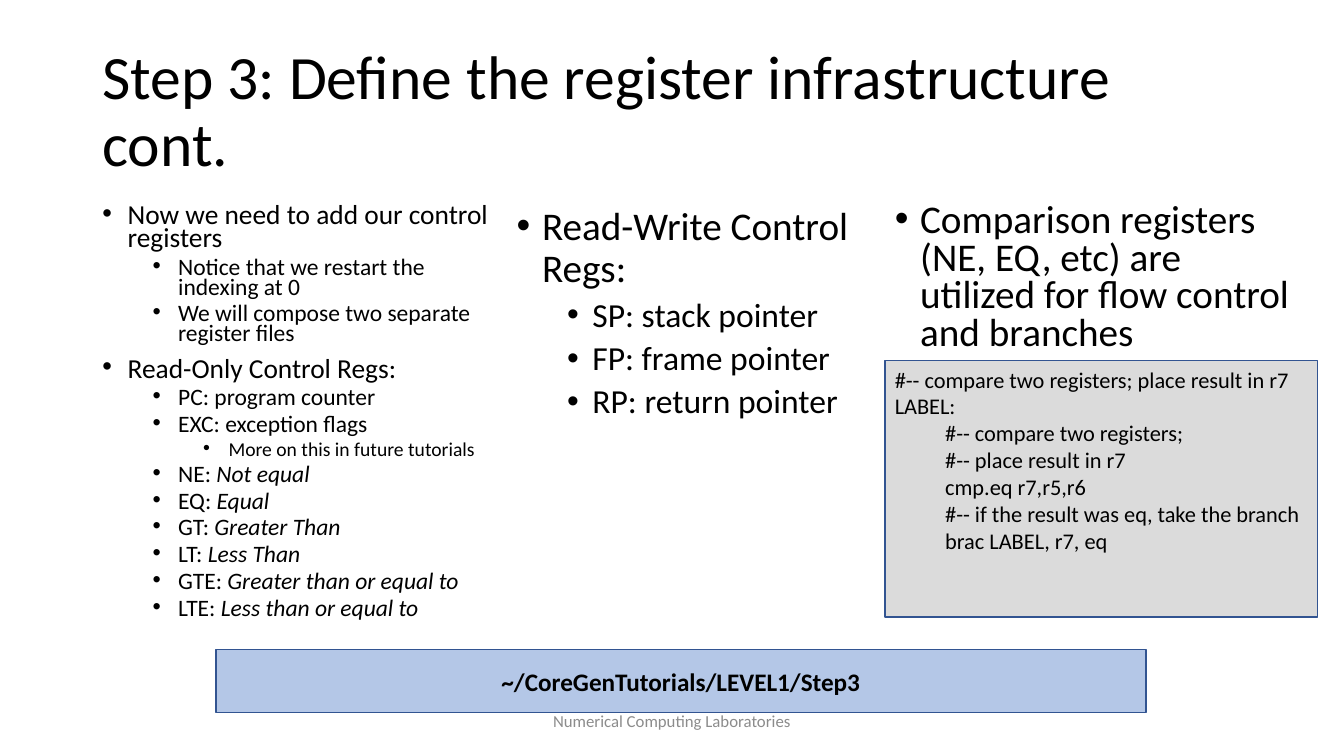
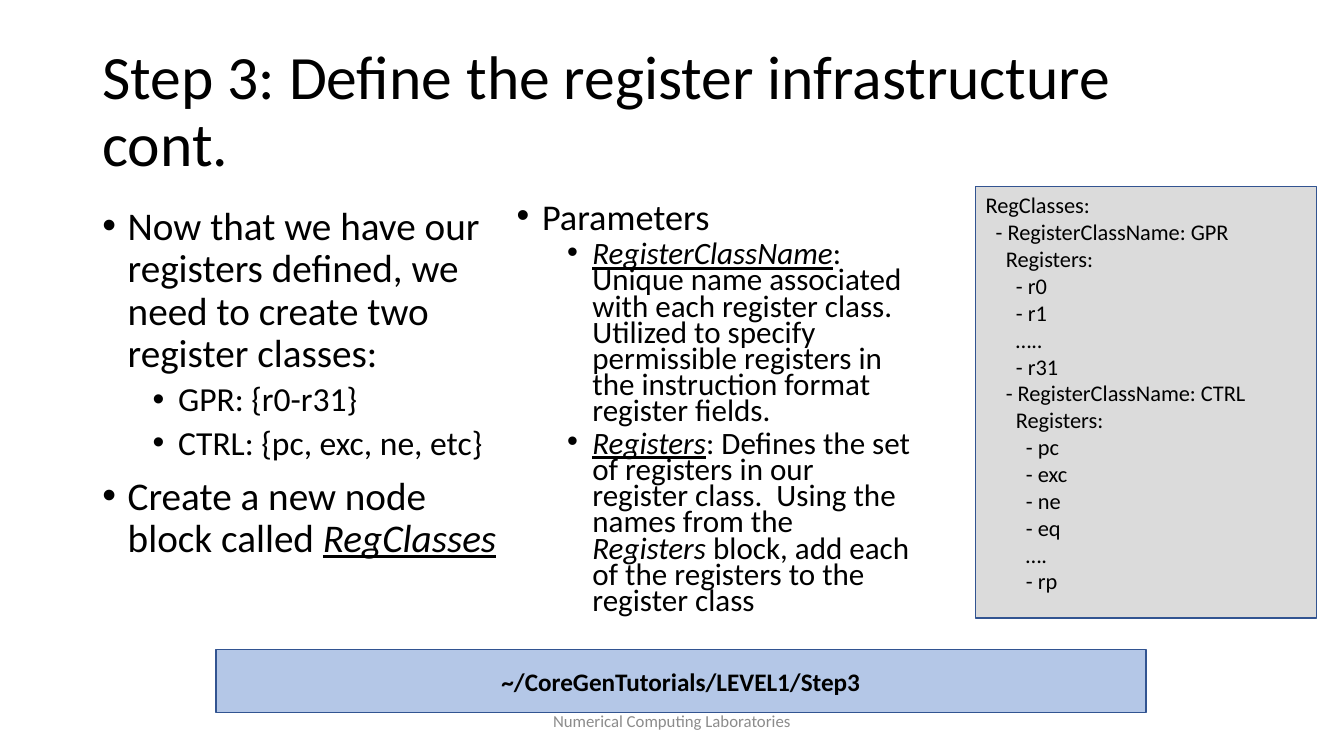
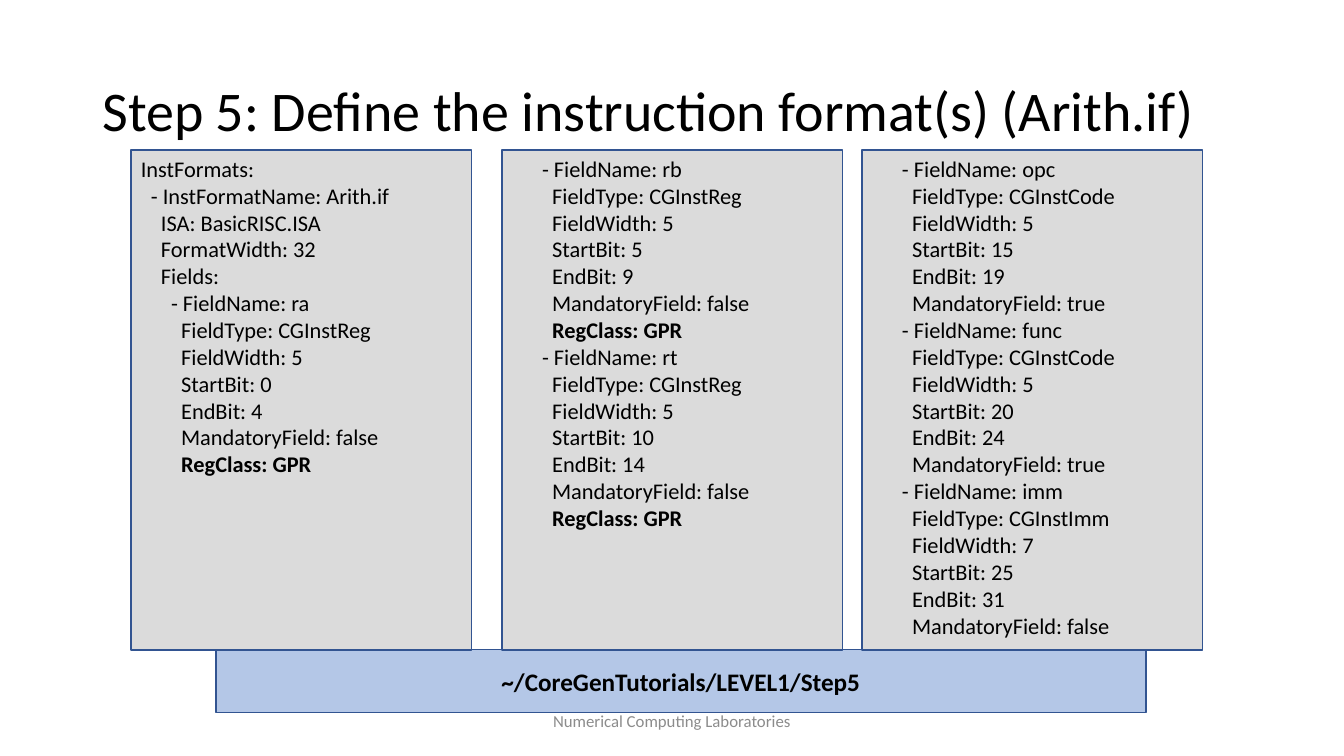
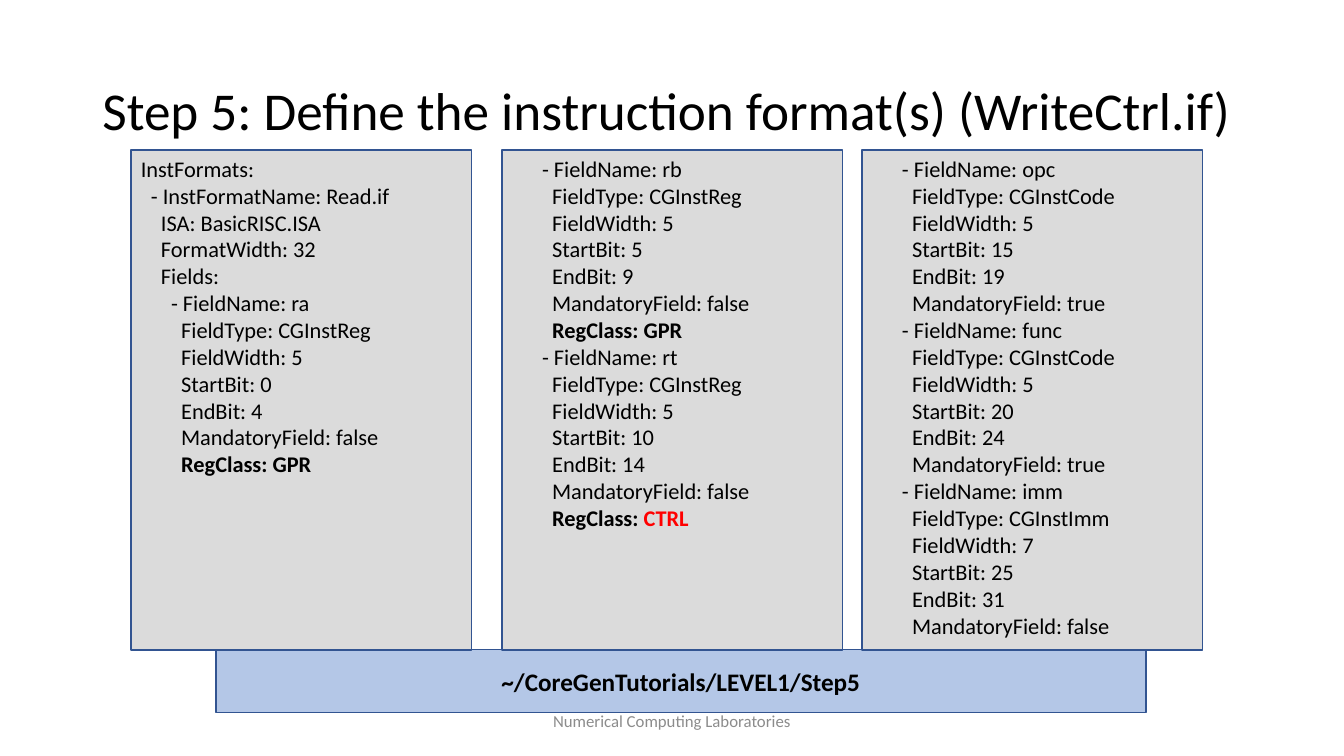
from typing import NamedTuple, Optional

from lxml.etree import SubElement
from pptx import Presentation
from pptx.dml.color import RGBColor
from pptx.enum.shapes import MSO_SHAPE
from pptx.enum.text import MSO_ANCHOR as Anchor, PP_ALIGN as Align
from pptx.oxml.ns import qn
from pptx.util import Cm, Pt

FONT = "Calibri"
WHITE = RGBColor(0xFF, 0xFF, 0xFF)
BLACK = RGBColor(0, 0, 0)
GRAY = RGBColor(0x8C, 0x8C, 0x8C)
RED = RGBColor(0xFF, 0, 0)
PATH_FILL = RGBColor(0xB4, 0xC7, 0xE7)
CODE_FILL = RGBColor(0xDB, 0xDB, 0xDB)
OUTLINE = RGBColor(0x32, 0x54, 0x91)

FOOTER = "Numerical Computing Laboratories"
STEP_3 = "Step 3: Define the register infrastructure cont."
STEP_5 = "Step 5: Define the instruction format(s)"

# Boxes are left, top, width, height in centimetres
TITLE_BOX = (2.33, 1.01, 29.21, 3.68)
FOOTER_BOX = (11.22, 17.66, 11.43, 1.01)
PATH_BOX = (5.44, 16.36, 23.44, 1.6)
LEFT_BOX = (2.33, 5.08, 10.44, 10.97)
MIDDLE_BOX = (12.77, 5.08, 10.44, 10.97)
RIGHT_BOX = (22.3, 5, 10.44, 4.52)
BRANCH_CODE_BOX = (22.3, 9.09, 10.9, 6.46)
CLASS_CODE_BOX = (24.59, 4.7, 8.59, 10.87)
FORMAT_LEFTS = (3.3, 12.65, 21.72)
FORMAT_TOP, FORMAT_WIDTH, FORMAT_HEIGHT = 3.78, 8.59, 12.6


class Piece(NamedTuple):
    """Text that differs from the rest of its paragraph."""
    text: str
    bold: Optional[bool] = None
    italic: Optional[bool] = None
    underline: Optional[bool] = None
    color: Optional[RGBColor] = None


def italic(text):
    return Piece(text, italic=True)


def term(text):
    return Piece(text, italic=True, underline=True)


def bold(text, color=None):
    return Piece(text, bold=True, color=color)


def style_font(font, size, color=BLACK, is_bold=None):
    font.name = FONT
    font.size = Pt(size)
    font.bold = is_bold
    font.color.rgb = color


def add_pieces(paragraph, pieces):
    for piece in pieces:
        run = paragraph.add_run()
        if isinstance(piece, str):
            run.text = piece
            continue
        run.text = piece.text
        run.font.bold = piece.bold
        run.font.italic = piece.italic
        run.font.underline = piece.underline
        if piece.color is not None:
            run.font.color.rgb = piece.color


def next_paragraph(frame, index):
    return frame.add_paragraph() if index else frame.paragraphs[0]


def add_text_box(slide, box, anchor=Anchor.TOP):
    frame = slide.shapes.add_textbox(*map(Cm, box)).text_frame
    frame.word_wrap = True
    frame.vertical_anchor = anchor
    return frame


def add_panel(slide, box, fill, anchor):
    shape = slide.shapes.add_shape(MSO_SHAPE.RECTANGLE, *map(Cm, box))
    shape.shadow.inherit = False
    shape.fill.solid()
    shape.fill.fore_color.rgb = fill
    shape.line.color.rgb = OUTLINE
    shape.line.width = Pt(1)
    frame = shape.text_frame
    frame.word_wrap = True
    frame.vertical_anchor = anchor
    return frame


def add_label(frame, text, size, color=BLACK, is_bold=None, align=Align.CENTER):
    paragraph = frame.paragraphs[0]
    paragraph.text = text
    paragraph.alignment = align
    style_font(paragraph.font, size, color, is_bold)
    return paragraph


def add_bullets(slide, box, items, sizes, spacing):
    """Items are (level, piece, ...); sizes holds one size per level."""
    frame = add_text_box(slide, box)
    for index, (level, *pieces) in enumerate(items):
        paragraph = next_paragraph(frame, index)
        paragraph.level = level
        paragraph.line_spacing = spacing
        if index:
            paragraph.space_before = Pt(5 if level else 10)
        properties = paragraph._p.get_or_add_pPr()
        properties.set("marL", str(Cm(0.64 + 1.27 * level)))
        properties.set("indent", str(-Cm(0.64)))
        SubElement(properties, qn("a:buFont"), typeface="Arial")
        SubElement(properties, qn("a:buChar"), char="•")
        style_font(paragraph.font, sizes[level])
        add_pieces(paragraph, pieces)


def add_code(slide, box, lines):
    """Each line is a string or a tuple of pieces."""
    frame = add_panel(slide, box, CODE_FILL, Anchor.TOP)
    for index, line in enumerate(lines):
        paragraph = next_paragraph(frame, index)
        paragraph.alignment = Align.LEFT
        tabs = SubElement(paragraph._p.get_or_add_pPr(), qn("a:tabLst"))
        SubElement(tabs, qn("a:tab"), pos=str(Cm(1.27)), algn="l")
        style_font(paragraph.font, 16)
        add_pieces(paragraph, (line,) if isinstance(line, str) else line)


def add_base_slide(presentation, title, step, title_size=44):
    """Adds a slide with its title, footer and tutorial path."""
    slide = presentation.slides.add_slide(presentation.slide_layouts[6])
    slide.background.fill.solid()
    slide.background.fill.fore_color.rgb = WHITE
    heading = add_label(add_text_box(slide, TITLE_BOX, Anchor.MIDDLE),
                        title, title_size, align=Align.LEFT)
    heading.line_spacing = 0.9
    add_label(add_text_box(slide, FOOTER_BOX, Anchor.MIDDLE), FOOTER, 12, GRAY)
    add_label(add_panel(slide, PATH_BOX, PATH_FILL, Anchor.MIDDLE),
              f"~/CoreGenTutorials/LEVEL1/Step{step}", 18, is_bold=True)
    return slide


def field_lines(name, kind, width, start, mandatory, *register_class):
    """Code lines of one field; register_class holds its bold pieces, if any."""
    indent = " " * 8
    lines = [
        f"      - FieldName: {name}",
        f"{indent}FieldType: {kind}",
        f"{indent}FieldWidth: {width}",
        f"{indent}StartBit: {start}",
        f"{indent}EndBit: {start + width - 1}",
        f"{indent}MandatoryField: {mandatory}",
    ]
    if register_class:
        lines.append((indent, *register_class))
    return lines


def add_control_registers_slide(presentation):
    slide = add_base_slide(presentation, STEP_3, 3)
    add_bullets(slide, LEFT_BOX, [
        (0, "Now we need to add our control registers"),
        (1, "Notice that we restart the indexing at 0"),
        (1, "We will compose two separate register files"),
        (0, "Read-Only Control Regs:"),
        (1, "PC: program counter"),
        (1, "EXC: exception flags"),
        (2, "More on this in future tutorials"),
        (1, "NE: ", italic("Not equal")),
        (1, "EQ: ", italic("Equal")),
        (1, "GT: ", italic("Greater Than")),
        (1, "LT: ", italic("Less Than")),
        (1, "GTE: ", italic("Greater than or equal to")),
        (1, "LTE: ", italic("Less than or equal to")),
    ], (19.6, 16.8, 14), 0.7)
    add_bullets(slide, MIDDLE_BOX, [
        (0, "Read-Write Control Regs:"),
        (1, "SP: stack pointer"),
        (1, "FP: frame pointer"),
        (1, "RP: return pointer"),
    ], (28, 24), 0.9)
    add_bullets(slide, RIGHT_BOX, [
        (0, "Comparison registers (NE, EQ, etc) are utilized for flow "
            "control and branches"),
    ], (28,), 0.8)
    add_code(slide, BRANCH_CODE_BOX, [
        "#-- compare two registers; place result in r7",
        "LABEL:",
        "\t#-- compare two registers;",
        "\t#-- place result in r7",
        "\tcmp.eq r7,r5,r6",
        "\t#-- if the result was eq, take the branch",
        "\tbrac LABEL, r7, eq",
    ])


def add_register_classes_slide(presentation):
    slide = add_base_slide(presentation, STEP_3, 3)
    add_bullets(slide, LEFT_BOX, [
        (0, "Now that we have our registers defined, we need to create two "
            "register classes:"),
        (1, "GPR: {r0-r31}"),
        (1, "CTRL: {pc, exc, ne, etc}"),
        (0, "Create a new node block called ", term("RegClasses")),
    ], (28, 24), 0.9)
    add_bullets(slide, MIDDLE_BOX, [
        (0, "Parameters"),
        (1, term("RegisterClassName"),
         ": Unique name associated with each register class.  Utilized to "
         "specify permissible registers in the instruction format register "
         "fields."),
        (1, term("Registers"),
         ": Defines the set of registers in our register class.  Using the "
         "names from the ", italic("Registers"),
         " block, add each of the registers to the register class"),
    ], (25.9, 22.2), 0.7)
    add_code(slide, CLASS_CODE_BOX, [
        "RegClasses:",
        "  - RegisterClassName: GPR",
        "    Registers:",
        "      - r0",
        "      - r1",
        "      …..",
        "      - r31",
        "    - RegisterClassName: CTRL",
        "      Registers:",
        "        - pc",
        "        - exc",
        "        - ne",
        "        - eq",
        "        ….",
        "        - rp",
    ])


def add_format_slide(presentation, title_name, title_size, format_name, *rt_class):
    """Adds an instruction format; rt_class holds the bold pieces of field rt."""
    slide = add_base_slide(presentation, f"{STEP_5} ({title_name})", 5, title_size)
    gpr = bold("RegClass: GPR")
    columns = (
        [
            "InstFormats:",
            f"  - InstFormatName: {format_name}",
            "    ISA: BasicRISC.ISA",
            "    FormatWidth: 32",
            "    Fields:",
            *field_lines("ra", "CGInstReg", 5, 0, "false", gpr),
        ],
        field_lines("rb", "CGInstReg", 5, 5, "false", gpr)
        + field_lines("rt", "CGInstReg", 5, 10, "false", *rt_class),
        field_lines("opc", "CGInstCode", 5, 15, "true")
        + field_lines("func", "CGInstCode", 5, 20, "true")
        + field_lines("imm", "CGInstImm", 7, 25, "false"),
    )
    for left, lines in zip(FORMAT_LEFTS, columns):
        add_code(slide, (left, FORMAT_TOP, FORMAT_WIDTH, FORMAT_HEIGHT), lines)


def main():
    presentation = Presentation()
    presentation.slide_width = Cm(33.87)
    presentation.slide_height = Cm(19.05)
    add_control_registers_slide(presentation)
    add_register_classes_slide(presentation)
    add_format_slide(presentation, "Arith.if", 40, "Arith.if",
                     bold("RegClass: GPR"))
    add_format_slide(presentation, "WriteCtrl.if", 38, "Read.if",
                     bold("RegClass: "), bold("CTRL", RED))
    presentation.save("out.pptx")


if __name__ == "__main__":
    main()
